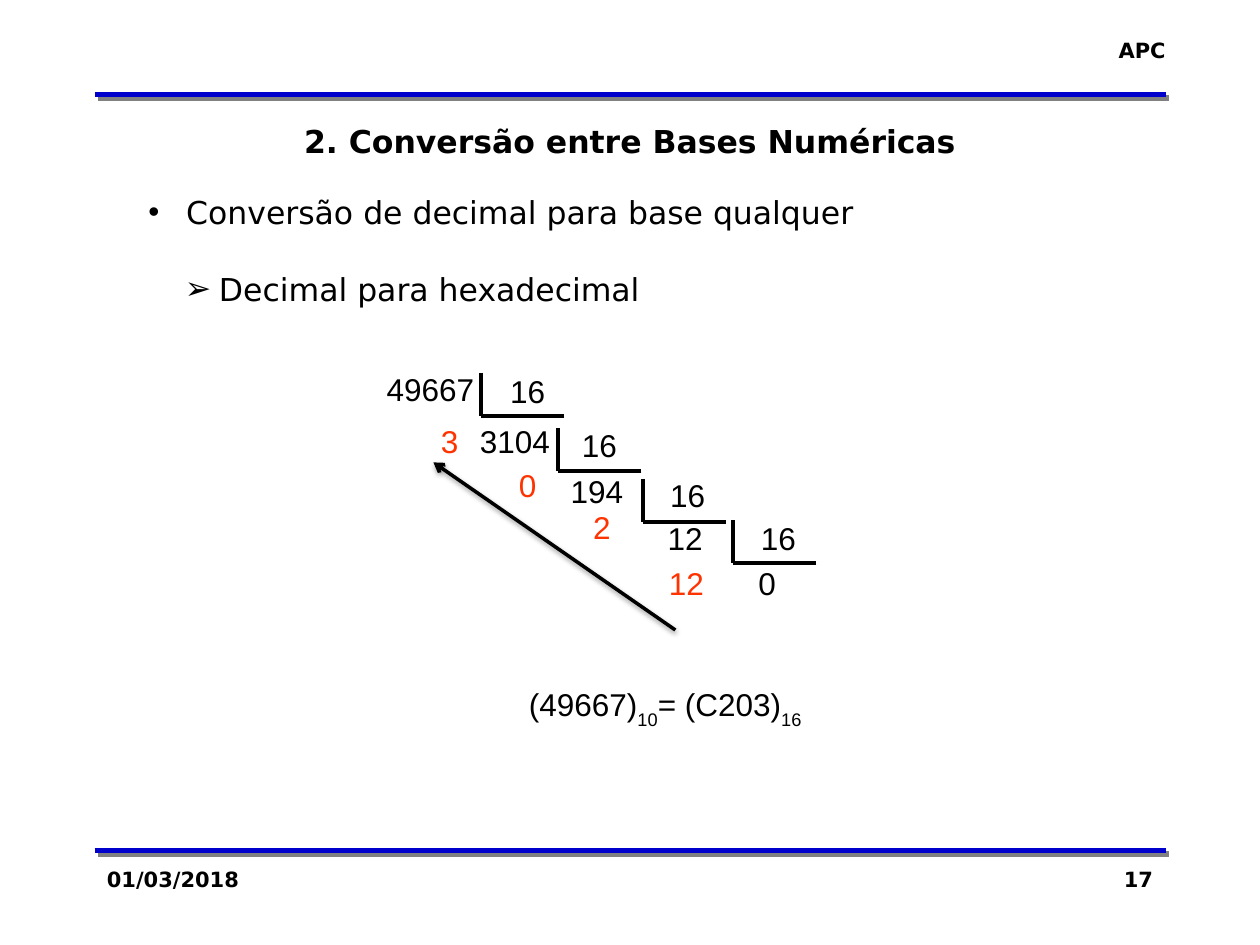
from pptx import Presentation
from pptx.dml.color import RGBColor
from pptx.enum.shapes import MSO_CONNECTOR
from pptx.enum.text import PP_ALIGN
from pptx.oxml.ns import qn
from pptx.util import Inches, Pt
from lxml import etree

LEFT, CENTER, RIGHT = PP_ALIGN.LEFT, PP_ALIGN.CENTER, PP_ALIGN.RIGHT
STRAIGHT = MSO_CONNECTOR.STRAIGHT
COLORS = {"text": "000000", "remainder": "FF3300", "rule": "0000CC", "rule_shadow": "808080"}
HEADING_FONT, NUMBER_FONT = "DejaVu Sans", "Arial"

TITLE = "2. Conversão entre Bases Numéricas"
COURSE, DATE, PAGE_NUMBER = "APC", "01/03/2018", "17"
# text, bullet, left margin, hanging indent
TOPICS = [
    ("Conversão de decimal para base qualquer", "•", 0.3, 0.3),
    ("Decimal para hexadecimal", "➢", 0.56, 0.27),
]
RESULT = [("(49667)", 0), ("10", -30), ("= (C203)", 0), ("16", -30)]
DIVISOR = "16"
# dividend and its place, remainder and its place, divisor place, bracket corner
DIVISIONS = [
    ("49667", (2.97, 2.89), "3", (3.4, 3.3), (3.95, 2.9), (3.82, 3.3)),
    ("3104", (3.71, 3.3), "0", (4.02, 3.65), (4.52, 3.33), (4.43, 3.74)),
    ("194", (4.43, 3.7), "2", (4.61, 3.98), (5.22, 3.73), (5.1, 4.14)),
    ("12", (5.2, 4.07), "12", (5.21, 4.43), (5.94, 4.07), (5.82, 4.47)),
]
LAST_QUOTIENT, LAST_PLACE = "0", (5.92, 4.43)
BRACKET_WIDTH, BRACKET_HEIGHT = 0.66, 0.34
DIGIT_WIDTH = 0.14

deck = Presentation()
deck.slide_width, deck.slide_height = Inches(10), Inches(7.5)
page = deck.slides.add_slide(deck.slide_layouts[6])


def add_span(para, text, size=18, font=HEADING_FONT, color="text", bold=False, baseline=0):
    span = para.add_run()
    span.text = text
    span.font.size, span.font.name, span.font.bold = Pt(size), font, bold
    span.font.color.rgb = RGBColor.from_string(COLORS[color])
    if baseline:
        span.font._element.set("baseline", str(baseline * 1000))


def add_box(left, top, width, height, wrap=True):
    frame = page.shapes.add_textbox(
        Inches(left), Inches(top), Inches(width), Inches(height)).text_frame
    frame.word_wrap = wrap
    return frame


def add_text(text, left, top, width, height=0.4, align=LEFT, wrap=True, **style):
    para = add_box(left, top, width, height, wrap).paragraphs[0]
    para.alignment = align
    add_span(para, text, **style)


def add_number(text, place, color="text"):
    add_text(text, *place, 0.2 + DIGIT_WIDTH * len(text), wrap=False,
             font=NUMBER_FONT, color=color)


def add_line(start, end, width, color="text", arrow=False, shadow=None):
    """Shadow is (colour name, opacity %, blur pt, distance pt, angle)."""
    line = page.shapes.add_connector(STRAIGHT, *map(Inches, start + end))
    line.line.width = Pt(width)
    line.line.color.rgb = RGBColor.from_string(COLORS[color])
    if arrow:
        etree.SubElement(line.line._get_or_add_ln(), qn("a:tailEnd"), type="arrow")
    effects = etree.SubElement(line._element.spPr, qn("a:effectLst"))
    if shadow:
        shade, opacity, blur, distance, angle = shadow
        outer = etree.SubElement(
            effects, qn("a:outerShdw"), blurRad=str(Pt(blur)), dist=str(Pt(distance)),
            dir=str(angle * 60000), algn="ctr", rotWithShape="0")
        tint = etree.SubElement(outer, qn("a:srgbClr"), val=COLORS[shade])
        etree.SubElement(tint, qn("a:alpha"), val=str(opacity * 1000))


def add_topics():
    frame = add_box(1.08, 1.48, 7.9, 1.1)
    for index, (text, bullet, margin, hanging) in enumerate(TOPICS):
        para = frame.add_paragraph() if index else frame.paragraphs[0]
        para.space_before = Pt(22.5 if index else 0)
        props = para._p.get_or_add_pPr()
        props.set("marL", str(Inches(margin)))
        props.set("indent", str(-Inches(hanging)))
        etree.SubElement(props, qn("a:buFont"), typeface=NUMBER_FONT)
        etree.SubElement(props, qn("a:buChar"), char=bullet)
        add_span(para, text)


def add_divisions():
    for dividend, place, remainder, remainder_place, divisor_place, corner in DIVISIONS:
        x, y = corner
        add_number(dividend, place)
        add_number(DIVISOR, divisor_place)
        add_number(remainder, remainder_place, color="remainder")
        add_line((x, y - BRACKET_HEIGHT), corner, 2.25)
        add_line((x + BRACKET_WIDTH, y), corner, 2.25)
    add_number(LAST_QUOTIENT, LAST_PLACE)
    add_line((5.36, 5), (3.44, 3.67), 2, arrow=True, shadow=("text", 38, 3.1, 1.6, 90))


for rule_y in (0.75, 6.75):
    add_line((0.75, rule_y), (9.25, rule_y), 3, "rule", shadow=("rule_shadow", 100, 0, 2.8, 45))
add_text(COURSE, 8.77, 0.25, 0.58, 0.3, align=RIGHT, wrap=False, size=12, bold=True)
add_text(DATE, 0.75, 6.83, 2.08, 0.5, size=12, bold=True)
add_text(PAGE_NUMBER, 7.17, 6.83, 2.08, 0.5, align=RIGHT, size=12, bold=True)
add_text(TITLE, 0.75, 0.92, 8.5, align=CENTER, bold=True)
add_topics()
add_divisions()

result_para = add_box(1.58, 5.39, 7.4, 0.4).paragraphs[0]
result_para.alignment = CENTER
for part, shift in RESULT:
    add_span(result_para, part, font=NUMBER_FONT, baseline=shift)

deck.save("out.pptx")
